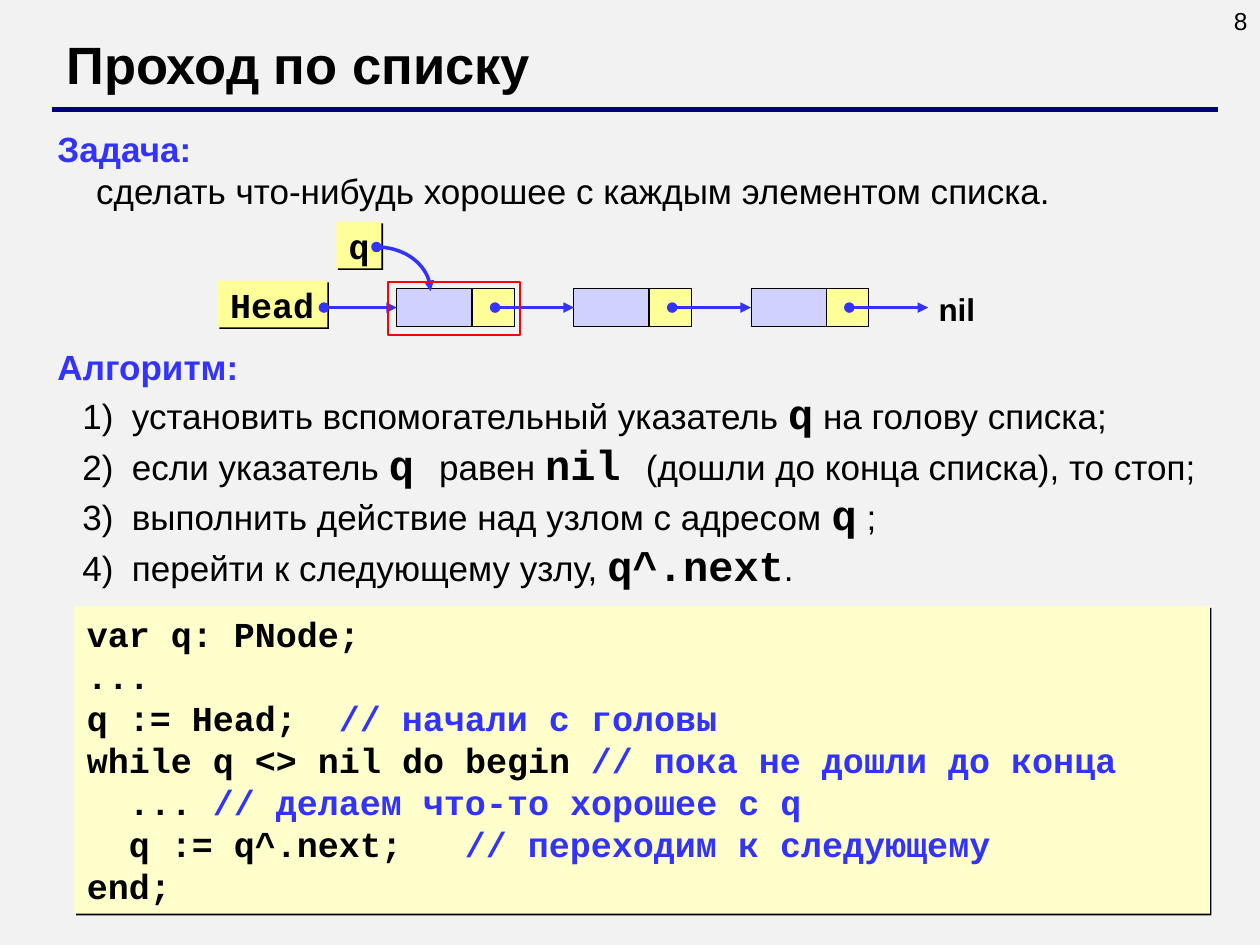
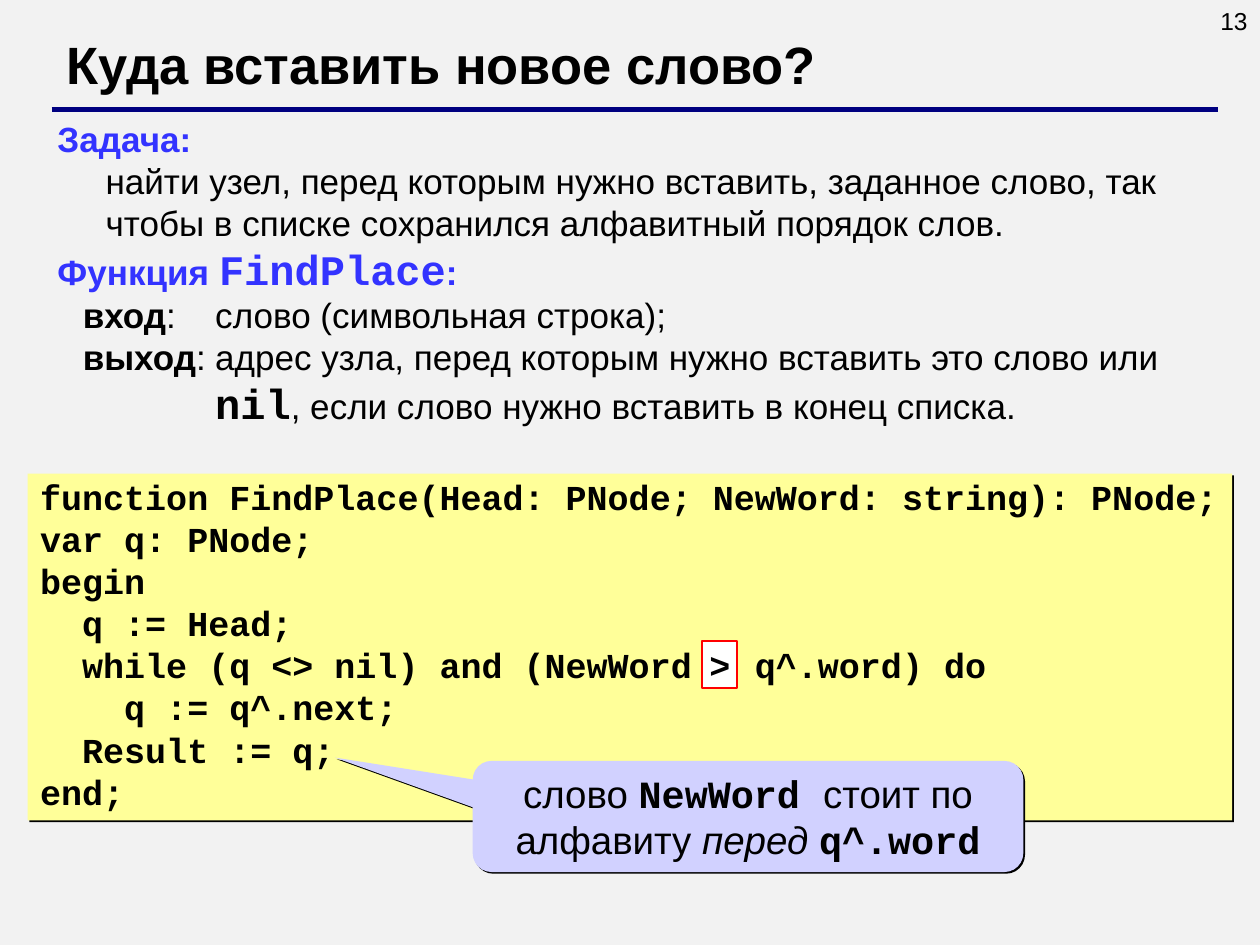
from math import cos, pi, sin

from lxml.etree import SubElement
from pptx import Presentation
from pptx.dml.color import RGBColor
from pptx.enum.shapes import MSO_CONNECTOR, MSO_SHAPE
from pptx.enum.text import MSO_ANCHOR, PP_ALIGN
from pptx.oxml.ns import qn
from pptx.util import Cm, Pt

COLORS = {
    "background": "F2F2F2", "text": "000000", "accent": "3333FF", "rule": "000080",
    "code": "FFFFCC", "pointer": "FFFF99", "data": "D1D1FF", "mark": "FF0000",
    "white": "FFFFFF",
}
SANS, MONO = "Arial", "Courier New"
TERM = {"font": MONO, "size": 24, "bold": True}
COMMENT = {"color": "accent"}
CODE = {"font": MONO, "bold": True}
HEADING = {"color": "accent", "bold": True}
COLUMN = 12 * 2.54 / 72
NODE_TOP, NODE_HEIGHT, NODE_STEP = 5.82, 0.76, 3.57
DATA_WIDTH, LINK_WIDTH = 1.52, 0.85
NODE_LEFTS = [8 + NODE_STEP * index for index in range(3)]
POINTER_OFFSET = 1.98
POINTER_Y = NODE_TOP + NODE_HEIGHT / 2


def rgb(name):
    """Return the named palette colour."""
    return RGBColor.from_string(COLORS[name])


def write(shape, *runs, align=None, before=0, spacing=None, left=0, hanging=0,
          tab=None, numbered=False, **style):
    """Add one paragraph; a run is a string or a pair of text and style changes."""
    frame = shape.text_frame
    first = frame.paragraphs[0]
    paragraph = frame.add_paragraph() if first.runs else first
    properties = paragraph._p.get_or_add_pPr()
    properties.set("marL", str(Cm(left)))
    properties.set("indent", str(-Cm(hanging)))
    if numbered:
        SubElement(properties, qn("a:buAutoNum"), type="arabicParenR")
    if tab:
        stops = SubElement(properties, qn("a:tabLst"))
        SubElement(stops, qn("a:tab"), pos=str(Cm(tab)), algn="l")
    paragraph.alignment = align or PP_ALIGN.LEFT
    if before:
        paragraph.space_before = Pt(before)
    if spacing:
        paragraph.line_spacing = spacing
    for item in runs:
        text, changes = (item, {}) if isinstance(item, str) else item
        look = {"font": SANS, "size": 20, "color": "text", "bold": False,
                "italic": False, **style, **changes}
        run = paragraph.add_run()
        run.text = text
        run.font.name = look["font"]
        run.font.size = Pt(look["size"])
        run.font.bold = look["bold"]
        run.font.italic = look["italic"]
        run.font.color.rgb = rgb(look["color"])


def add_text_box(slide, left, top, width, height, wrap=True):
    """Add an empty text box."""
    box = slide.shapes.add_textbox(Cm(left), Cm(top), Cm(width), Cm(height))
    box.text_frame.word_wrap = wrap
    return box


def add_box(slide, left, top, width, height, fill=None, line=None, line_width=1,
            shadow=False, kind=MSO_SHAPE.RECTANGLE):
    """Add a preset shape with an optional fill, outline and hard shadow."""
    shape = slide.shapes.add_shape(kind, Cm(left), Cm(top), Cm(width), Cm(height))
    shape.shadow.inherit = False
    if fill:
        shape.fill.solid()
        shape.fill.fore_color.rgb = rgb(fill)
    else:
        shape.fill.background()
    if line:
        shape.line.color.rgb = rgb(line)
        shape.line.width = Pt(line_width)
    else:
        shape.line.fill.background()
    if shadow:
        effects = shape._element.spPr.find(qn("a:effectLst"))
        outer = SubElement(effects, qn("a:outerShdw"), dist=str(Pt(1.4)),
                           dir="2700000", algn="ctr", rotWithShape="0")
        SubElement(outer, qn("a:srgbClr"), val=COLORS["text"])
    shape.text_frame.vertical_anchor = MSO_ANCHOR.TOP
    return shape


def add_label(slide, left, top, width, text, inset=0.25, **look):
    """Add a tight box holding one code word."""
    label = add_box(slide, left, top, width, 0.94, **look)
    frame = label.text_frame
    frame.word_wrap = False
    frame.margin_left = frame.margin_right = Cm(inset)
    frame.margin_top = frame.margin_bottom = Cm(0.05)
    write(label, text, **CODE)


def add_line(slide, start, end, color, width):
    """Add a straight connector between two points."""
    line = slide.shapes.add_connector(MSO_CONNECTOR.STRAIGHT, *map(Cm, start + end))
    line.line.color.rgb = rgb(color)
    line.line.width = Pt(width)
    SubElement(line._element.spPr, qn("a:effectLst"))
    return line


def add_pointer_ends(shape):
    """Put a dot at the start and an arrowhead at the end."""
    outline = shape.line._get_or_add_ln()
    SubElement(outline, qn("a:headEnd"), type="oval")
    SubElement(outline, qn("a:tailEnd"), type="triangle")


def add_pointer(slide, start, end, target=None):
    """Add a straight pointer, joined to the left side of its target."""
    pointer = add_line(slide, (start, POINTER_Y), (end, POINTER_Y), "accent", 2)
    if target:
        pointer.end_connect(target, 1)
    add_pointer_ends(pointer)


def add_curved_pointer(slide, left, top, width, height, steps=24):
    """Add a pointer that bends along a quarter of an ellipse."""
    angles = [pi / 2 * step / steps for step in range(1, steps + 1)]
    points = [(Cm(left + width * sin(angle)), Cm(top + height * (1 - cos(angle))))
              for angle in angles]
    builder = slide.shapes.build_freeform(Cm(left), Cm(top))
    builder.add_line_segments(points, close=False)
    curve = builder.convert_to_shape()
    curve.shadow.inherit = False
    curve.fill.background()
    curve.line.color.rgb = rgb("accent")
    curve.line.width = Pt(2)
    add_pointer_ends(curve)


def add_node(slide, left):
    """Add a list node and return its data cell."""
    divider = left + DATA_WIDTH
    add_box(slide, divider, NODE_TOP, LINK_WIDTH, NODE_HEIGHT, "pointer", "text", 0.5)
    data = add_box(slide, left, NODE_TOP, DATA_WIDTH, NODE_HEIGHT, "data", "text", 0.5)
    add_line(slide, (divider, NODE_TOP), (divider, NODE_TOP + NODE_HEIGHT), "text", 1)
    return data


def add_linked_list(slide):
    """Draw the list with its Head and q pointers."""
    add_label(slide, 4.39, 5.66, 2.21, "Head", fill="pointer", shadow=True)
    nodes = [add_node(slide, left) for left in NODE_LEFTS]
    add_pointer(slide, 6.53, NODE_LEFTS[0], nodes[0])
    for left, following in zip(NODE_LEFTS, nodes[1:] + [None]):
        add_pointer(slide, left + POINTER_OFFSET, left + NODE_STEP, following)
    end_mark = add_text_box(slide, 18.67, 5.72, 1.24, 1.02, wrap=False)
    write(end_mark, "nil", size=18, bold=True)
    add_label(slide, 6.78, 4.47, 0.91, "q", fill="pointer", shadow=True)
    add_curved_pointer(slide, 7.59, 4.98, 1.09, 0.89)
    add_box(slide, 7.82, 5.69, 2.67, 1.07, line="mark")


def start_slide(presentation, title, number):
    """Add a slide with its background, title, rule and number."""
    slide = presentation.slides.add_slide(presentation.slide_layouts[6])
    slide.background.fill.solid()
    slide.background.fill.fore_color.rgb = rgb("background")
    number_box = add_text_box(slide, 19.48, 0, 5.92, 1.32)
    write(number_box, str(number), size=14, align=PP_ALIGN.RIGHT)
    add_line(slide, (1.04, 2.21), (24.56, 2.21), "rule", 3)
    write(add_text_box(slide, 1.09, 0.53, 22.61, 1.52), title, size=30, bold=True)
    return slide


def build_traversal(presentation):
    """Build the slide about walking through a list."""
    slide = start_slide(presentation, "Проход по списку", 8)
    body = add_text_box(slide, 0.91, 2.44, 23.85, 9.58)
    write(body, "Задача:", **HEADING)
    write(body, "сделать что-нибудь хорошее с каждым элементом списка.", left=0.78)
    write(body, "Алгоритм:", before=77, **HEADING)
    steps = [
        ("установить вспомогательный указатель ", ("q", TERM), " на голову списка;"),
        ("если указатель ", ("q ", TERM), "равен ", ("nil ", TERM),
         "(дошли до конца списка), то стоп;"),
        ("выполнить действие над узлом с адресом ", ("q", TERM), " ;"),
        ("перейти к следующему узлу, ", ("q^.next", TERM), "."),
    ]
    for step in steps:
        write(body, *step, left=1.5, hanging=1, numbered=True)
    add_linked_list(slide)

    code = add_box(slide, 1.5, 12.22, 22.89, 6.2, "code", shadow=True)
    lines = [
        ("var q: PNode;", None, None),
        ("...", None, None),
        ("q := Head;", "// начали с головы", 12),
        ("while q <> nil do begin", "// пока не дошли до конца", 24),
        ("  ...", "// делаем что-то хорошее с q", 24),
        ("  q := q^.next;", "// переходим к следующему", 24),
        ("end;", None, None),
    ]
    for statement, comment, column in lines:
        if comment:
            write(code, statement + "\t", (comment, COMMENT), tab=COLUMN * column, **CODE)
        else:
            write(code, statement, **CODE)


def build_find_place(presentation):
    """Build the slide about finding the place for a new word."""
    slide = start_slide(presentation, "Куда вставить новое слово?", 13)
    body = add_text_box(slide, 0.91, 2.24, 23.85, 6.53)
    write(body, "Задача:", **HEADING)
    write(body, "найти узел, перед которым нужно вставить, заданное слово, так чтобы "
          "в списке сохранился алфавитный порядок слов.", left=0.97)
    write(body, "Функция ", ("FindPlace", TERM), ":", **HEADING)
    parameters = {"left": 3.18, "hanging": 2.67}
    write(body, ("вход", {"bold": True}), ":\tслово (символьная строка);", **parameters)
    write(body, ("выход", {"bold": True}),
          ":\tадрес узла, перед которым нужно вставить это слово или ",
          ("nil", TERM), ", если слово нужно вставить в конец списка.", **parameters)

    code = add_box(slide, 0.56, 9.55, 24.28, 6.99, "pointer", shadow=True)
    lines = [
        "function FindPlace(Head: PNode; NewWord: string): PNode;",
        "var q: PNode;",
        "begin",
        "  q := Head;",
        "  while (q <> nil) and (NewWord > q^.word) do",
        "    q := q^.next;",
        "  Result := q;",
        "end;",
    ]
    for index, line in enumerate(lines):
        write(code, line, spacing=0.9, before=2.5 if index else 0, **CODE)
    add_label(slide, 14.15, 12.93, 0.71, ">", inset=0.15, fill="white", line="mark")

    callout = add_box(slide, 9.53, 15.34, 11.1, 2.24, "data", shadow=True,
                      kind=MSO_SHAPE.ROUNDED_RECTANGULAR_CALLOUT)
    for index, value in enumerate((-0.75, -0.53, 0.17)):
        callout.adjustments[index] = value
    callout.text_frame.vertical_anchor = MSO_ANCHOR.MIDDLE
    write(callout, "слово ", ("NewWord ", CODE), "стоит по алфавиту ",
          ("перед ", {"italic": True}), ("q^.word", CODE),
          size=22, align=PP_ALIGN.CENTER)


def main():
    """Build and save the presentation."""
    presentation = Presentation()
    presentation.slide_width, presentation.slide_height = Cm(25.4), Cm(19.05)
    build_traversal(presentation)
    build_find_place(presentation)
    presentation.save("out.pptx")


if __name__ == "__main__":
    main()
